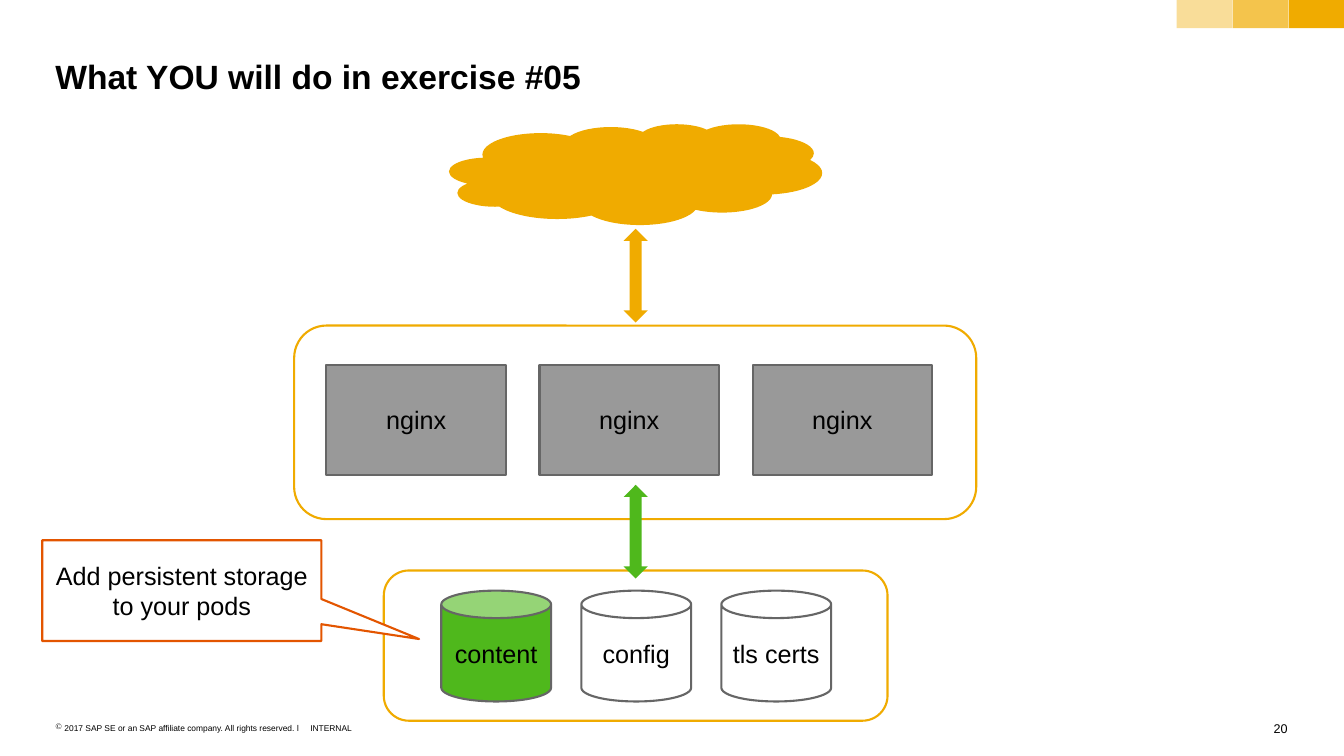
from lxml import etree
from pptx import Presentation
from pptx.dml.color import RGBColor
from pptx.enum.shapes import MSO_SHAPE as Kind
from pptx.enum.text import MSO_ANCHOR as Anchor, PP_ALIGN as Align
from pptx.oxml.ns import qn
from pptx.util import Inches, Pt

GOLD, GREEN, GRAY, DARK = "F0AB00", "4FB81C", "999999", "666666"
WHITE, BLACK, RUST = "FFFFFF", "000000", "E35500"

rgb = RGBColor.from_string
deck = Presentation()
deck.slide_width, deck.slide_height = Inches(13.34), Inches(7.5)
slide = deck.slides.add_slide(deck.slide_layouts[6])
shapes = slide.shapes


def draw(kind, x, y, w, h, fill, line=None, text=None):
    """Add a filled shape with an optional outline and centred label."""
    shape = shapes.add_shape(kind, Inches(x), Inches(y), Inches(w), Inches(h))
    shape.shadow.inherit = False
    shape.fill.solid()
    shape.fill.fore_color.rgb = rgb(fill)
    if line:
        shape.line.color.rgb = rgb(line)
        shape.line.width = Pt(1.5)
    else:
        shape.line.fill.background()
    if text:
        frame = shape.text_frame
        frame.word_wrap = True
        frame.vertical_anchor = Anchor.MIDDLE
        frame.margin_left = frame.margin_right = Inches(0.1)
        frame.margin_top = frame.margin_bottom = Inches(0.08)
        para = frame.paragraphs[0]
        para.text = text
        para.alignment = Align.CENTER
        para.font.name, para.font.size = "Arial", Pt(18)
        para.font.color.rgb = rgb(BLACK)
    return shape


def write(text, x, y, w, h, size, wrap=True, bold=False, align=Align.LEFT, bullet=None):
    """Add a text box without margins."""
    box = shapes.add_textbox(Inches(x), Inches(y), Inches(w), Inches(h))
    frame = box.text_frame
    frame.word_wrap = wrap
    frame.margin_left = frame.margin_right = 0
    frame.margin_top = frame.margin_bottom = 0
    para = frame.paragraphs[0]
    para.text = text
    para.alignment = align
    if bullet:
        props = para._p.get_or_add_pPr()
        props.set("marL", str(Inches(0.09)))
        props.set("indent", str(-Inches(0.09)))
        etree.SubElement(props, qn("a:buChar"), char=bullet)
    para.font.name, para.font.size, para.font.bold = "Arial", Pt(size), bold
    para.font.color.rgb = rgb(BLACK)


# Footer and corner bars
write("20", 12.63, 7.15, 0.15, 0.15, 9, wrap=False, align=Align.RIGHT)
write("INTERNAL", 3.08, 7.17, 0.42, 0.1, 6, wrap=False)
write("2017 SAP SE or an SAP affiliate company. All rights reserved. ǀ",
      0.55, 7.17, 2.48, 0.1, 6, bullet="©")
for i, alpha in enumerate((40, 70, 100)):
    bar = draw(Kind.RECTANGLE, 11.68 + i * 0.555, 0, 0.55, 0.28, GOLD)
    if alpha < 100:
        color = bar._element.spPr.find(qn("a:solidFill"))[0]
        etree.SubElement(color, qn("a:alpha"), val=str(alpha * 1000))

write("What YOU will do in exercise #05", 0.55, 0.55, 12.23, 0.4, 24, bold=True)

# Web servers
draw(Kind.ROUNDED_RECTANGLE, 2.92, 3.23, 6.77, 1.92, WHITE, GOLD)
for i in range(3):
    draw(Kind.RECTANGLE, 3.24 + i * 2.115, 3.62, 1.78, 1.09, GRAY, DARK, "nginx")

# Storage
draw(Kind.ROUNDED_RECTANGLE, 3.81, 5.66, 5, 1.49, WHITE, GOLD)
stores = (("content", GREEN), ("config", WHITE), ("tls certs", WHITE))
for i, (name, fill) in enumerate(stores):
    draw(Kind.CAN, 4.38 + i * 1.39, 5.86, 1.09, 1.1, fill, DARK, name)

# Cloud and traffic
draw(Kind.CLOUD, 4.46, 1.23, 3.7, 1, GOLD)
for y, fill in ((4.81, GREEN), (2.27, GOLD)):
    draw(Kind.UP_DOWN_ARROW, 6.19, y, 0.24, 0.93, fill)

note = draw(Kind.RECTANGULAR_CALLOUT, 0.42, 5.36, 2.77, 1, WHITE, RUST,
            "Add persistent storage to your pods")
note.adjustments[0], note.adjustments[1] = 0.85, 0.48

deck.save("out.pptx")
